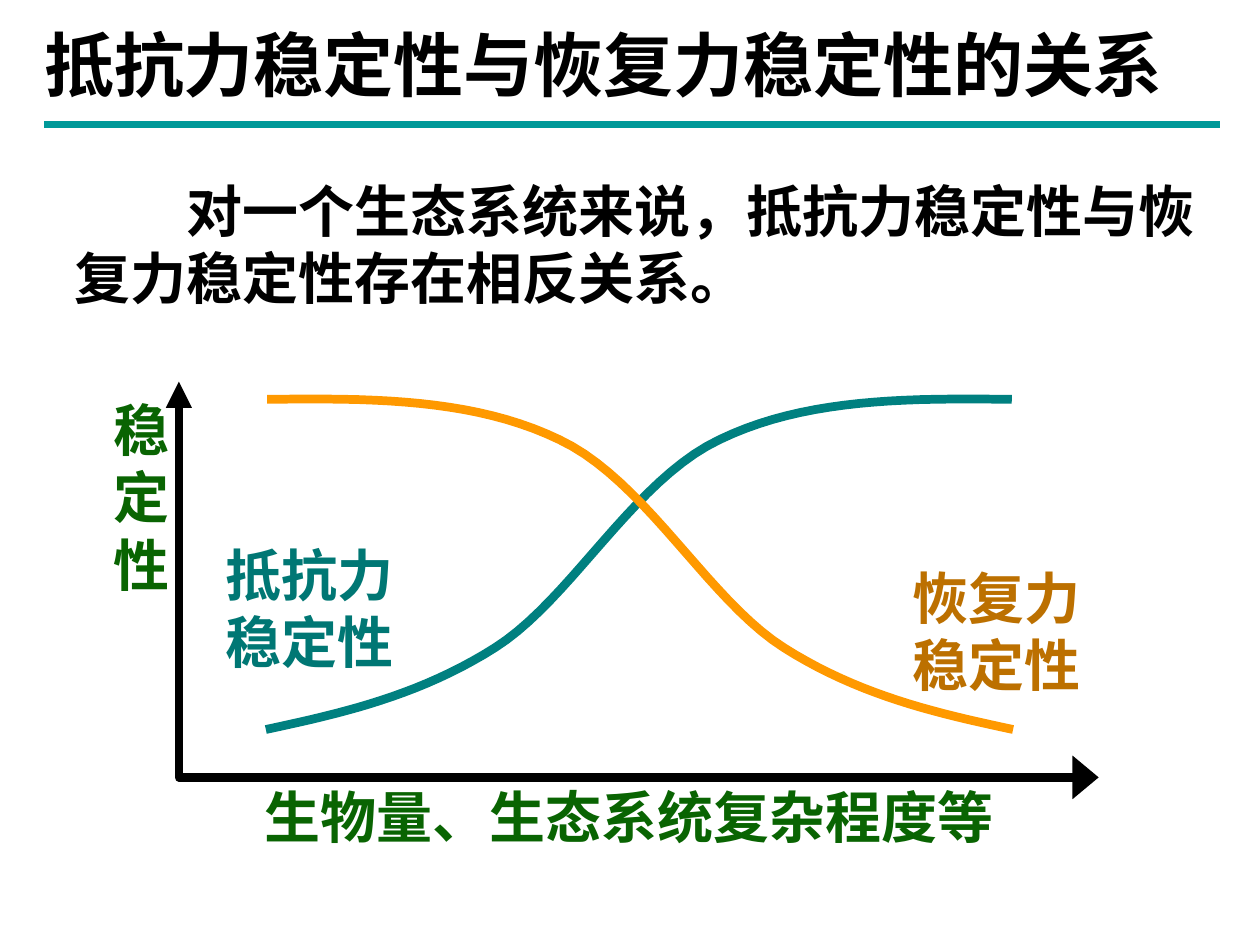
import pptx
import pptx.util
import pptx.dml.color
import pptx.enum.shapes
import pptx.enum.text
import pptx.oxml
import pptx.oxml.ns
from pptx.util import Inches, Pt
from pptx.dml.color import RGBColor

FONT = "Noto Sans CJK SC"
BLACK = RGBColor(0x00, 0x00, 0x00)
RULE_TEAL = RGBColor(0x00, 0x99, 0x99)
CURVE_TEAL = RGBColor(0x00, 0x80, 0x80)
CURVE_ORANGE = RGBColor(0xFF, 0x99, 0x00)
LABEL_TEAL = RGBColor(0x00, 0x77, 0x74)
LABEL_BROWN = RGBColor(0xBC, 0x70, 0x00)
AXIS_GREEN = RGBColor(0x09, 0x64, 0x02)
LEFT = pptx.enum.text.PP_ALIGN.LEFT
CENTER = pptx.enum.text.PP_ALIGN.CENTER

# Content: lengths in inches
TITLE = "抵抗力稳定性与恢复力稳定性的关系"
STATEMENT = "对一个生态系统来说，抵抗力稳定性与恢复力稳定性存在相反关系。"
LABELS = [  # text, (left, top, width, height), colour, alignment
    ("抵抗力稳定性", (1.79, 4.29, 1.68, 1.07), LABEL_TEAL, LEFT),
    ("恢复力稳定性", (7.24, 4.47, 1.72, 1.07), LABEL_BROWN, LEFT),
    ("稳定性", (0.9, 3.14, 0.5, 1.6), AXIS_GREEN, LEFT),
    ("生物量、生态系统复杂程度等", (1.42, 6.21, 7.15, 0.53), AXIS_GREEN, CENTER),
]
AXES = [(1.42, 3.03), (1.42, 6.17), (8.72, 6.17)]
ARROWHEADS = [("headEnd", "med"), ("tailEnd", "lg")]  # line end, head width
# Start point, then two control points and an end point for each segment
RESISTANCE = [(2.11, 5.79),
              (2.72, 5.66), (3.33, 5.52), (3.93, 5.14),
              (4.53, 4.76), (5.03, 3.81), (5.71, 3.49),
              (6.39, 3.16), (7.21, 3.16), (8.03, 3.17)]
CURVE_SPAN = 2.12 + 8.03
RESILIENCE = [(CURVE_SPAN - x, y) for x, y in RESISTANCE]  # mirror curve
STEPS = 20


def bezier_points(knots):
    points = [knots[0]]
    for i in range(0, len(knots) - 1, 3):
        segment = knots[i:i + 4]
        for step in range(1, STEPS + 1):
            t = step / STEPS
            weights = ((1 - t) ** 3, 3 * t * (1 - t) ** 2, 3 * t * t * (1 - t), t ** 3)
            points.append(tuple(sum(w * p[axis] for w, p in zip(weights, segment))
                                for axis in (0, 1)))
    return points


def add_outline(slide, points, color):
    # The builder rounds to whole units, so it is given lengths in EMU
    corners = [(Inches(x), Inches(y)) for x, y in points]
    builder = slide.shapes.build_freeform(*corners[0], scale=1.0)
    builder.add_line_segments(corners[1:], close=False)
    outline = builder.convert_to_shape()
    outline.shadow.inherit = False
    outline.fill.background()
    outline.line.color.rgb = color
    outline.line.width = Pt(5)
    return outline


def place(shape, box):
    shape.left, shape.top, shape.width, shape.height = map(Inches, box)


def write(shape, text, size, color, align=LEFT, indent=0):
    frame = shape.text_frame
    frame.word_wrap = True
    frame.auto_size = pptx.enum.text.MSO_AUTO_SIZE.NONE
    frame.vertical_anchor = pptx.enum.text.MSO_ANCHOR.TOP
    frame.margin_left = frame.margin_top = frame.margin_right = frame.margin_bottom = 0
    paragraph = frame.paragraphs[0]
    paragraph.alignment = align
    paragraph.space_before = Pt(0)
    if indent:
        paragraph._p.get_or_add_pPr().set("indent", str(Inches(indent)))
    run = paragraph.add_run()
    run.text = text
    run.font.name = FONT
    run.font.size = Pt(size)
    run.font.bold = True
    run.font.color.rgb = color
    east_asian = pptx.oxml.parse_xml(
        f'<a:ea {pptx.oxml.ns.nsdecls("a")} typeface="{FONT}"/>')
    run.font._element.find(pptx.oxml.ns.qn("a:latin")).addnext(east_asian)


def main():
    deck = pptx.Presentation()
    deck.slide_width, deck.slide_height = Inches(10), Inches(7.5)
    slide = deck.slides.add_slide(deck.slide_layouts[5])

    # Title and rule
    place(slide.shapes.title, (0.35, 0.17, 8.99, 0.67))
    write(slide.shapes.title, TITLE, 40, BLACK)
    rule = slide.shapes.add_connector(
        pptx.enum.shapes.MSO_CONNECTOR.STRAIGHT,
        Inches(0.35), Inches(0.99), Inches(9.68), Inches(0.99))
    rule.line.color.rgb = RULE_TEAL
    rule.line.width = Pt(4)
    rule._element.spPr.append(
        pptx.oxml.parse_xml(f'<a:effectLst {pptx.oxml.ns.nsdecls("a")}/>'))

    # Statement, first line indented by two characters
    statement = slide.shapes.add_textbox(0, 0, 0, 0)
    place(statement, (0.59, 1.4, 9.12, 1.08))
    write(statement, STATEMENT, 32, BLACK, indent=0.89)

    # Curves and axes
    add_outline(slide, bezier_points(RESISTANCE), CURVE_TEAL)
    add_outline(slide, bezier_points(RESILIENCE), CURVE_ORANGE)
    axes = add_outline(slide, AXES, BLACK)
    for end, head_width in ARROWHEADS:
        axes.line._get_or_add_ln().append(pptx.oxml.parse_xml(
            f'<a:{end} {pptx.oxml.ns.nsdecls("a")} type="triangle" w="{head_width}"/>'))

    # Curve and axis labels
    for text, box, color, align in LABELS:
        label = slide.shapes.add_textbox(0, 0, 0, 0)
        place(label, box)
        write(label, text, 32, color, align)

    deck.save("out.pptx")


if __name__ == "__main__":
    main()
